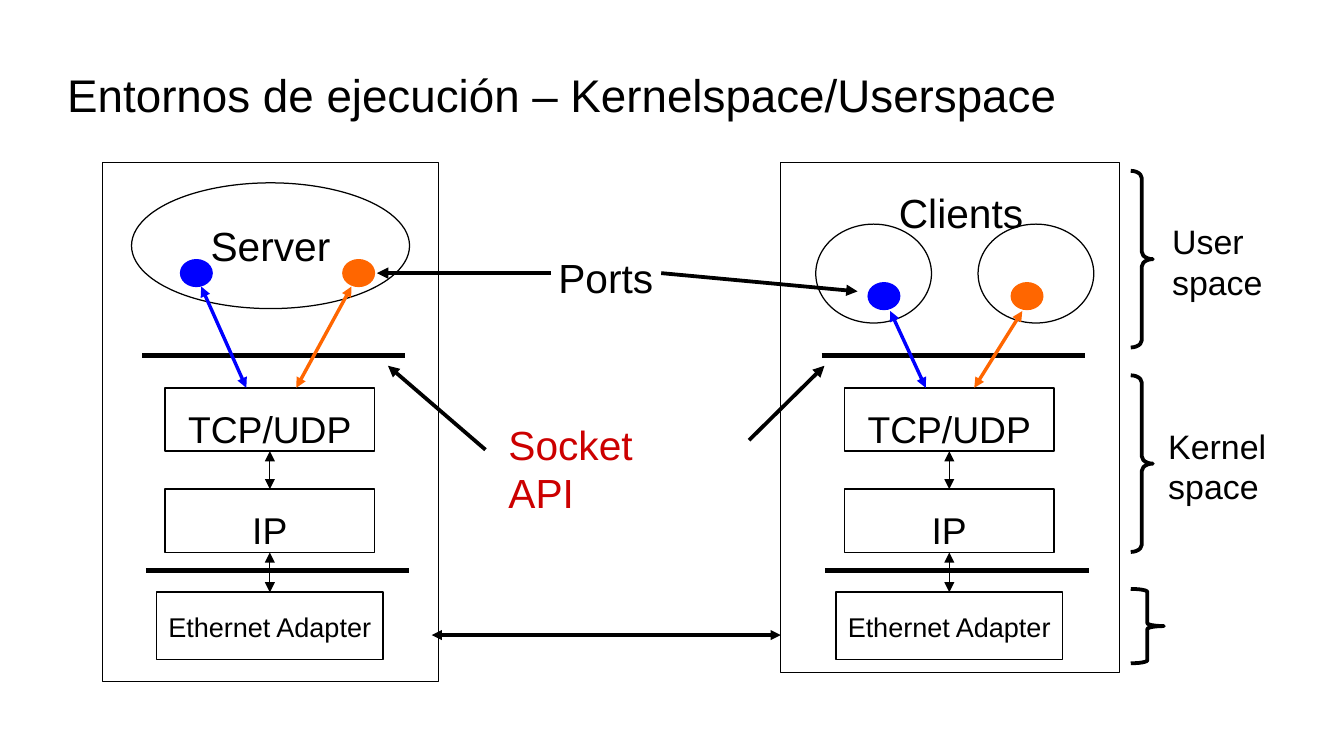
from lxml import etree
from pptx import Presentation
from pptx.dml.color import RGBColor
from pptx.enum import shapes, text
from pptx.oxml.ns import qn
from pptx.util import Cm, Pt

BLACK, BLUE, ORANGE, RED = "000000", "0000FF", "FF6600", "CC0000"
KINDS = shapes.MSO_SHAPE

prs = Presentation()
prs.slide_width, prs.slide_height = Cm(27.99), Cm(15.75)
s = prs.slides.add_slide(prs.slide_layouts[5])


def add_block(kind, box, label="", size=24, color=BLACK, width=0.75, fill=None,
              align="CENTER", anchor="MIDDLE", insets=(0.28, 0.15)):
    """Add a preset shape, or a text box when kind is None; box is in cm."""
    place = [Cm(v) for v in box]
    if kind is None:
        sp = s.shapes.add_textbox(*place)
    else:
        sp = s.shapes.add_shape(kind, *place)
        sp.shadow.inherit = False
        sp.line.color.rgb = RGBColor.from_string(color)
        sp.line.width = Pt(width)
        if fill:
            sp.fill.solid()
            sp.fill.fore_color.rgb = RGBColor.from_string(fill)
        else:
            sp.fill.background()
    if label:
        tf = sp.text_frame
        tf.text = label
        tf.word_wrap = False
        tf.vertical_anchor = text.MSO_ANCHOR[anchor]
        tf.margin_left = tf.margin_right = Cm(insets[0])
        tf.margin_top = tf.margin_bottom = Cm(insets[1])
        for p in tf.paragraphs:
            p.alignment = text.PP_ALIGN[align]
            p.font.size = Pt(size)
            p.font.name = "Arial"
            p.font.color.rgb = RGBColor.from_string(color)
    return sp


def add_line(start, end, width, color=BLACK, heads=()):
    """Add a straight line in cm; heads may hold headEnd and tailEnd."""
    cn = s.shapes.add_connector(shapes.MSO_CONNECTOR.STRAIGHT,
                                *[Cm(v) for v in (*start, *end)])
    cn.line.width = Pt(width)
    cn.line.color.rgb = RGBColor.from_string(color)
    ln = cn.line._get_or_add_ln()
    for head in heads:
        etree.SubElement(ln, qn(f"a:{head}"), type="triangle")
    etree.SubElement(cn._element.spPr, qn("a:effectLst"))
    return cn


BOTH, TAIL = ("headEnd", "tailEnd"), ("tailEnd",)

# Title
title = s.shapes.title
title.left, title.top, title.width, title.height = Cm(1.4), Cm(0.89), Cm(23.67), Cm(2.13)
tf = title.text_frame
tf.text = "Entornos de ejecución – Kernelspace/Userspace"
tf.vertical_anchor = text.MSO_ANCHOR.MIDDLE
tf.margin_left = tf.margin_right = tf.margin_top = tf.margin_bottom = 0
p = tf.paragraphs[0]
p.alignment = text.PP_ALIGN.LEFT
p.font.size, p.font.name = Pt(27), "Arial"
p.font.color.rgb = RGBColor.from_string(BLACK)

# Host frames, each with its protocol stack
LAYERS = [("TCP/UDP", 8.08, 4.36, 1.32, 22),
          ("IP", 10.19, 4.36, 1.32, 22),
          ("Ethernet Adapter", 12.34, 4.72, 1.4, 16)]
for frame, center in [((2.13, 3.38, 7.01, 10.82), 5.62),
                      ((16.26, 3.38, 7.06, 10.64), 19.77)]:
    add_block(KINDS.RECTANGLE, frame)
    upper = None
    for name, top, w, h, size in LAYERS:
        layer = add_block(KINDS.RECTANGLE, (center - w / 2, top, w, h), name, size,
                          width=1, anchor="TOP", insets=(0.25, 0.38))
        if upper:
            link = add_line((center, top), (center, top), 0.75, heads=BOTH)
            link.begin_connect(upper, 2)
            link.end_connect(layer, 0)
        upper = layer
    for left, y in [(center - 2.66, 7.4), (center - 2.58, 11.89)]:
        add_line((left, y), (left + 5.48, y), 3)

# Processes
add_block(KINDS.OVAL, (2.74, 3.81, 5.79, 2.62), "Server")
for left in (16.99, 20.37):
    add_block(KINDS.OVAL, (left, 4.67, 2.41, 2.06))

# Ports and their links down to the transport layer
for left, top, color, start, end in [
        (3.76, 5.41, BLUE, (4.19, 5.97), (5.13, 8.08)),
        (7.14, 5.41, ORANGE, (7.32, 5.97), (6.17, 8.08)),
        (18.08, 5.89, BLUE, (18.54, 6.48), (19.28, 8.08)),
        (21.06, 5.89, ORANGE, (21.29, 6.48), (20.29, 8.08))]:
    add_block(KINDS.OVAL, (left, top, 0.66, 0.56), color=color, fill=color)
    add_line(start, end, 2, color, BOTH)

# Network link and pointers from the labels
add_line((8.99, 13.23), (16.26, 13.23), 2, heads=BOTH)
for start, end in [((11.48, 5.69), (7.85, 5.69)), ((13.77, 5.69), (17.86, 6.07)),
                   ((10.11, 9.37), (8.08, 7.62)), ((15.6, 9.17), (17.17, 7.62))]:
    add_line(start, end, 2.25, heads=TAIL)

# Braces
for top, w, h, curve in [(3.56, 0.46, 3.68, 0.33), (7.82, 0.46, 3.68, 0.33),
                         (12.27, 0.69, 1.55, 0.09)]:
    brace = add_block(KINDS.RIGHT_BRACE, (23.55, top, w, h), width=2.25)
    brace.adjustments[0] = curve

# Labels
for label, box, size, color, align in [
        ("Clients", (18.44, 3.76, 3.15, 1.22), 24, BLACK, "CENTER"),
        ("Ports", (11.35, 5.11, 2.54, 1.22), 24, BLACK, "LEFT"),
        ("Socket API", (10.31, 8.59, 4.7, 1.22), 24, RED, "LEFT"),
        ("User\nspace", (24.13, 4.45, 2.46, 1.85), 20, BLACK, "LEFT"),
        ("Kernel\nspace", (24.05, 8.71, 2.79, 1.85), 20, BLACK, "LEFT")]:
    add_block(None, box, label, size, color, align=align, anchor="TOP")

prs.save("out.pptx")
